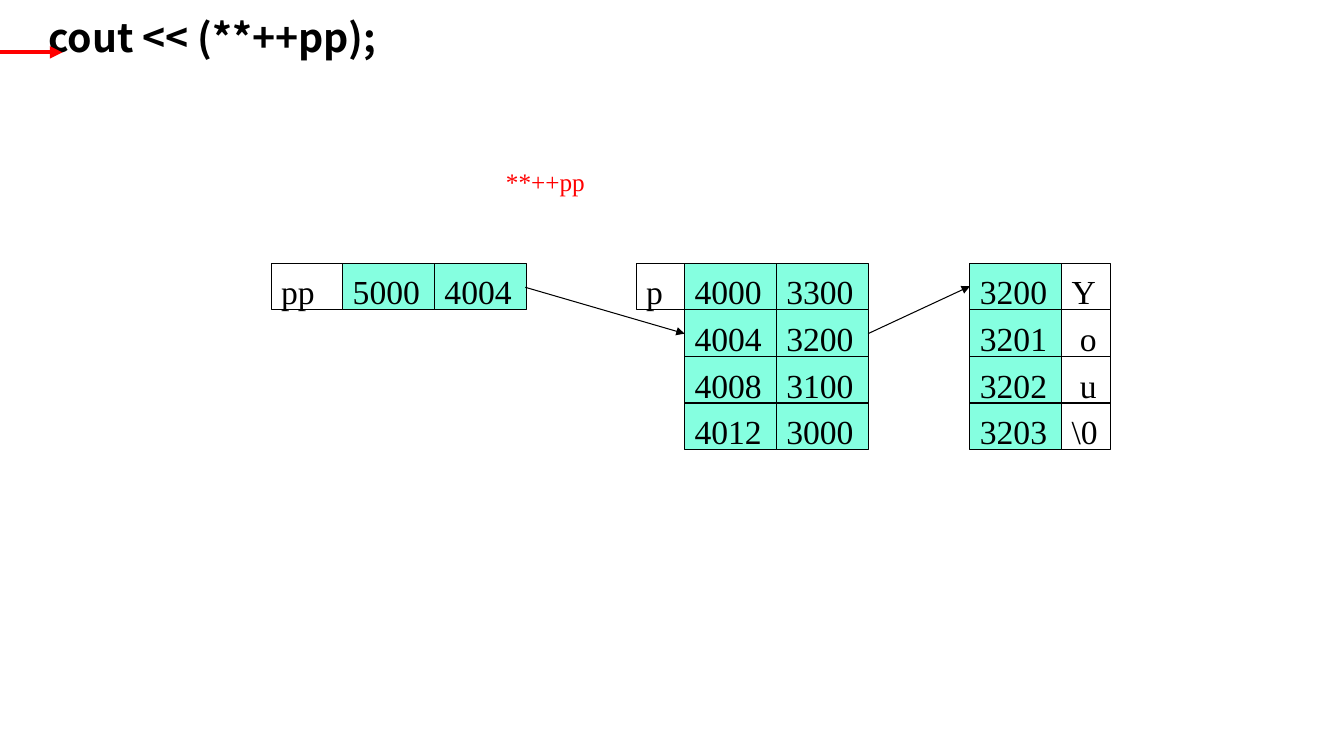
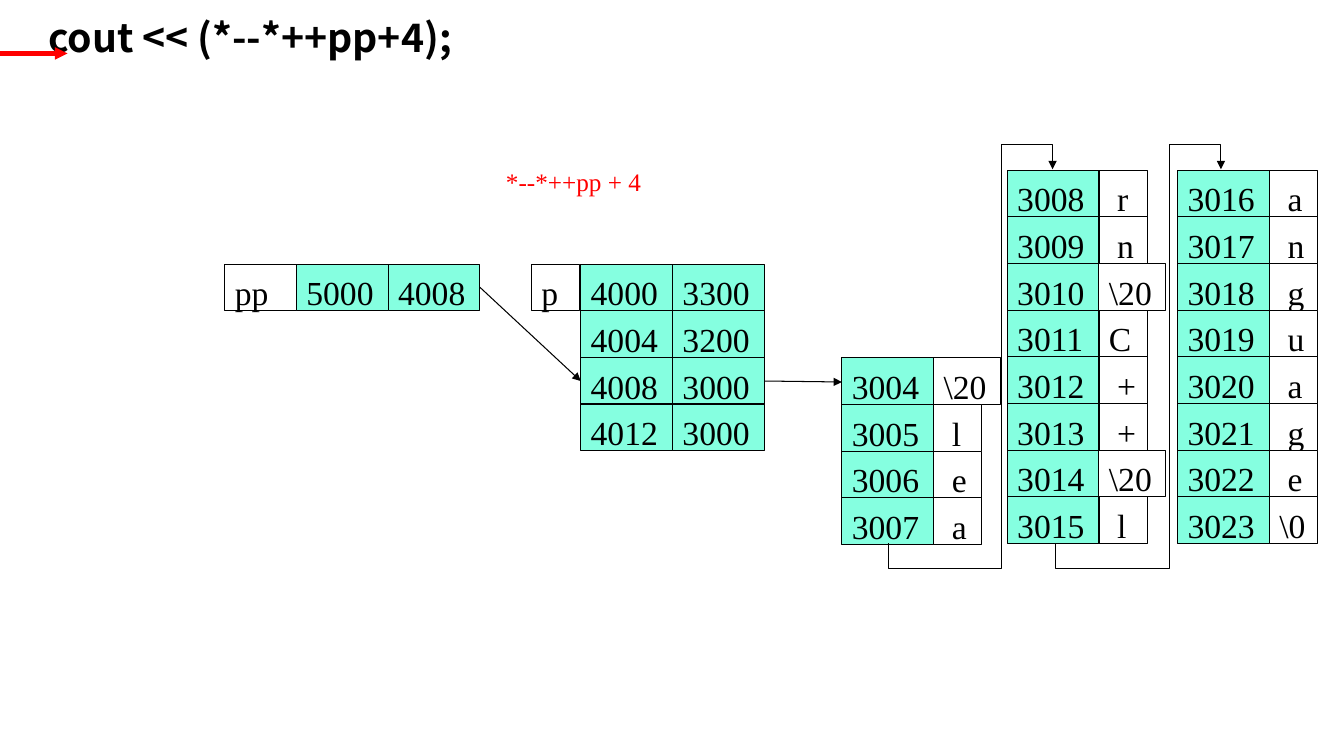
"""Two slides that trace pointer expressions through memory cells."""
from dataclasses import dataclass
from lxml import etree
from pptx import Presentation
from pptx import util as u
from pptx.dml.color import RGBColor
from pptx.enum import shapes, text
from pptx.oxml.ns import qn


def letters(start, chars):
    """Number each character from a start address."""
    return [(str(start + i), char) for i, char in enumerate(chars)]


SLIDES = [
    dict(
        title="cout << (**++pp);",
        mark=((-0.05, 0.52), (0.62, 0.52)),
        note=("**++pp", 1.27),
        grids=[
            (2.69, 2.61, [("pp", "5000", "4004")]),
            (6.31, 2.61, [("p",)]),
            (6.79, 2.61, [("4000", "3300"), ("4004", "3200"),
                          ("4008", "3100"), ("4012", "3000")]),
            (9.62, 2.61, letters(3200, ["Y", "o", "u", "\\0"])),
        ],
        links=[((5.21, 2.85), (6.79, 3.31)), ((8.61, 3.31), (9.62, 2.84))],
        bends=[],
    ),
    dict(
        title="cout << (*--*++pp+4);",
        mark=((0, 0.53), (0.67, 0.53)),
        note=("*--*++pp + 4", 1.62),
        grids=[
            (2.23, 2.62, [("pp", "5000", "4008")]),
            (5.27, 2.62, [("p",)]),
            (5.76, 2.62, [("4000", "3300"), ("4004", "3200"),
                          ("4008", "3000"), ("4012", "3000")]),
            (8.35, 3.55, letters(3004, ["\\20", "l", "e", "a"])),
            (9.99, 1.69, letters(3008, ["r", "n", "\\20", "C",
                                        "+", "+", "\\20", "l"])),
            (11.68, 1.69, letters(3016, ["a", "n", "g", "u",
                                         "a", "g", "e", "\\0"])),
        ],
        links=[((4.76, 2.85), (5.76, 3.78)), ((7.58, 3.78), (8.35, 3.79))],
        bends=[((8.81, 5.39), (10.44, 1.68)), ((10.47, 5.39), (12.11, 1.68))],
    ),
]


@dataclass
class Theme:
    """Colours, fonts and sizes."""
    ink: str = "000000"
    red: str = "FF0000"
    mint: str = "85FFE0"
    white: str = "FFFFFF"
    head: str = "Noto Sans CJK SC"
    body: str = "Times New Roman"
    big: int = 28
    mid: int = 24
    small: int = 18
    thin: float = 0.75
    thick: int = 3


T = Theme()
ROW = 3.24 / 7
WIDE = {"pp": 0.71, "\\20": 0.66}
SHY = "ounglear+"
BEND = (-6700, 68700, 106700)


def write(shape, words, font=T.body, size=T.mid, color=T.ink, bold=False,
          left=0.1, top=0.05, wrap=False, lead=None):
    """Put formatted text into a shape."""
    frame = shape.text_frame
    frame.word_wrap = wrap
    frame.auto_size = text.MSO_AUTO_SIZE.NONE
    frame.vertical_anchor = text.MSO_ANCHOR.TOP
    frame.margin_left, frame.margin_top = u.Inches(left), u.Inches(top)
    frame.margin_bottom = 0
    para = frame.paragraphs[0]
    para.alignment = text.PP_ALIGN.LEFT
    para.line_spacing = lead
    run = para.add_run()
    run.text = words
    run.font.name, run.font.size, run.font.bold = font, u.Pt(size), bold
    run.font.color.rgb = RGBColor.from_string(color)


def label(slide, words, x, y, w, h, **form):
    """Add a text box."""
    box = slide.shapes.add_textbox(*map(u.Inches, (x, y, w, h)))
    write(box, words, **form)


def cell(slide, words, x, y):
    """Draw one memory cell and return its width."""
    number = words.isdigit()
    w = 0.91 if number else WIDE.get(words, 0.48)
    box = slide.shapes.add_shape(shapes.MSO_SHAPE.RECTANGLE,
                                 *map(u.Inches, (x, y, w, ROW)))
    box.shadow.inherit = False
    box.fill.solid()
    box.fill.fore_color.rgb = RGBColor.from_string(T.mint if number else T.white)
    box.line.color.rgb = RGBColor.from_string(T.ink)
    box.line.width = u.Pt(T.thin)
    write(box, words, left=0.18 if words in SHY else 0.1, top=0.08)
    return w


def arrow(slide, start, end, color=T.ink, width=T.thin,
          kind=shapes.MSO_CONNECTOR.STRAIGHT):
    """Draw a connector with an arrowhead at its end."""
    line = slide.shapes.add_connector(kind, *map(u.Inches, (*start, *end)))
    line.line.color.rgb = RGBColor.from_string(color)
    line.line.width = u.Pt(width)
    props = line._element.spPr
    etree.SubElement(props.find(qn("a:ln")), qn("a:tailEnd"), type="triangle")
    etree.SubElement(props, qn("a:effectLst"))
    return props


def bend(slide, start, end):
    """Lead from the foot of one column over the top of the next."""
    (x1, y1), (x2, y2) = start, end
    midx, midy = (x1 + x2) / 2, (y1 + y2) / 2
    w, h = (y1 - y2) / 2, (x2 - x1) / 2
    props = arrow(slide, (midx + w, midy + h), (midx - w, midy - h),
                  kind=shapes.MSO_CONNECTOR.ELBOW)
    props.find(qn("a:xfrm")).set("rot", "5400000")
    form = props.find(qn("a:prstGeom"))
    form.set("prst", "bentConnector5")
    guides = form.find(qn("a:avLst"))
    if guides is None:
        guides = etree.SubElement(form, qn("a:avLst"))
    for i, value in enumerate(BEND, 1):
        etree.SubElement(guides, qn("a:gd"), name=f"adj{i}", fmla=f"val {value}")


def build(deck, data):
    """Build one slide from its data."""
    slide = deck.slides.add_slide(deck.slide_layouts[6])
    label(slide, data["title"], 0.2, 0.18, 12.99, 7.09, font=T.head,
          size=T.big, bold=True, left=0.28, top=0, wrap=True, lead=0.9)
    arrow(slide, *data["mark"], color=T.red, width=T.thick)
    words, w = data["note"]
    label(slide, words, 4.92, 1.6, w, 0.4, size=T.small, color=T.red)
    for left, top, rows in data["grids"]:
        for i, row in enumerate(rows):
            x = left
            for words in row:
                x += cell(slide, words, x, top + i * ROW)
    for ends in data["links"]:
        arrow(slide, *ends)
    for ends in data["bends"]:
        bend(slide, *ends)


deck = Presentation()
deck.slide_width, deck.slide_height = u.Inches(13.33), u.Inches(7.5)
for data in SLIDES:
    build(deck, data)
deck.save("out.pptx")
